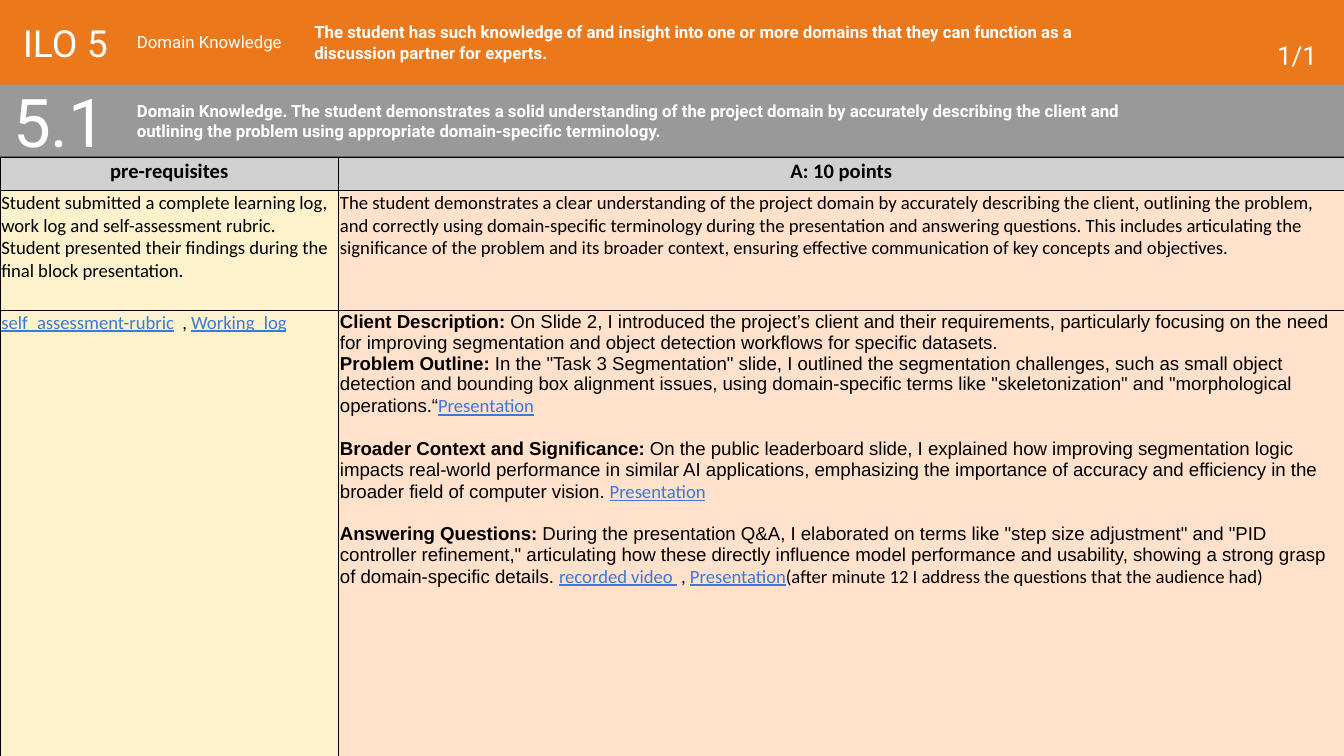
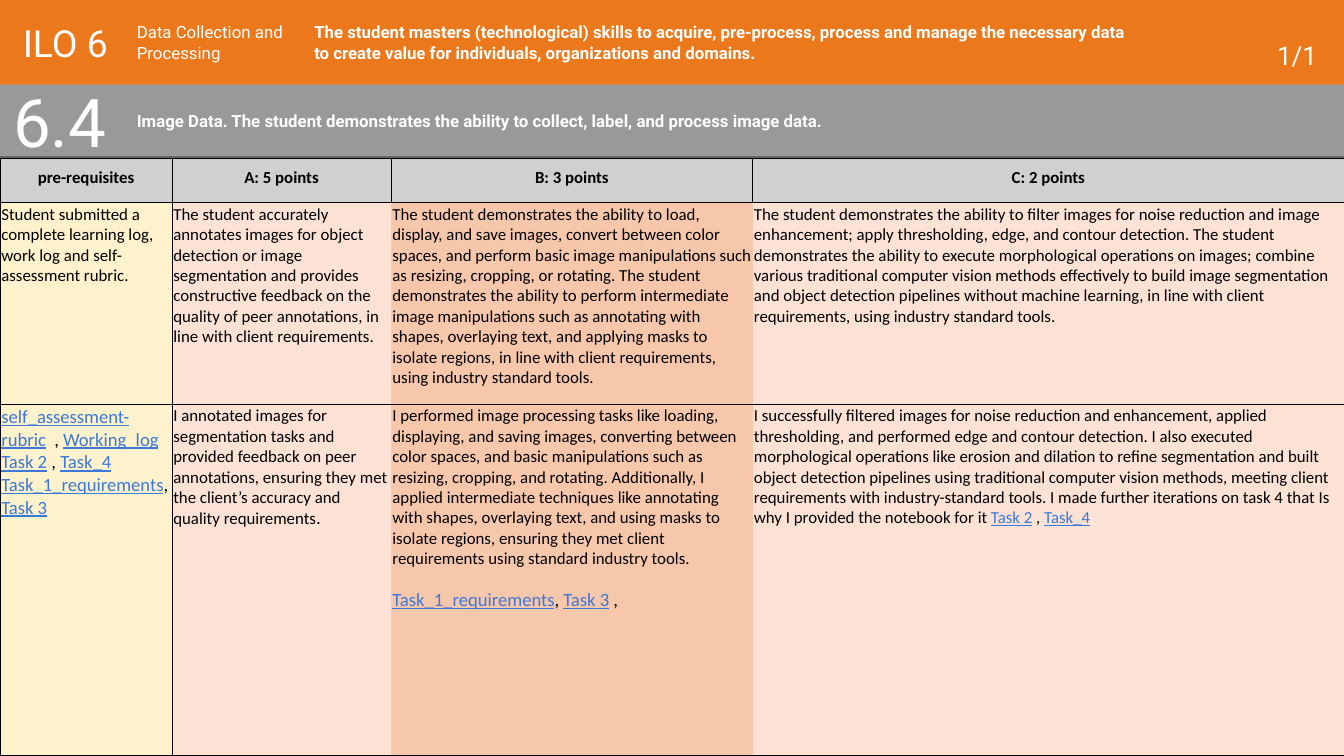
from pptx import Presentation
from pptx.dml.color import RGBColor
from pptx.enum import shapes, text
from pptx.oxml import ns
from pptx.util import Inches, Pt
from lxml import etree

COLORS = {
    "page": "666666", "orange": "EC781C", "gray": "999999", "white": "FFFFFF",
    "black": "000000", "link": "3C78D8", "head": "D0D0D0", "cream": "FEF2CD",
    "peach": "FFE1CC", "rose": "FBE2D5", "salmon": "F7C7AC",
}
STYLES = {
    "plain": dict(name="Calibri", color="black", bold=False, underline=False),
    "head": dict(name="Calibri", color="black", bold=True, underline=False),
    "link": dict(name="Calibri", color="link", bold=False, underline=True),
    "arial": dict(name="Arial", color="black", bold=False, underline=False),
    "strong": dict(name="Arial", color="black", bold=True, underline=False),
    "white": dict(name="Roboto", color="white", bold=False),
    "white_bold": dict(name="Roboto", color="white", bold=True),
}
BANDS = [("gray", 0.62, 0.54), ("orange", 0, 0.63)]
HEADER = {
    "ilo": ((0.07, 0, 0.85, 0.63), 20, "white", "MIDDLE", "LEFT"),
    "page": ((7.73, 0, 2.17, 0.63), 14, "white", "BOTTOM", "RIGHT"),
    "outcome": ((2.24, 0, 6.27, 0.63), 9, "white_bold", "MIDDLE", "LEFT"),
    "number": ((0, 0.63, 0.99, 0.54), 36, "white", "MIDDLE", "LEFT"),
    "criterion": ((0.92, 0.63, 8, 0.54), 9, "white_bold", "MIDDLE", "LEFT"),
    "domain": ((0.92, 0, 1.5, 0.63), 9, "white", "MIDDLE", "LEFT"),
}


def link(label):
    return label, "link"


def strong(label):
    return label, "strong"


def arial(label):
    return label, "arial"


def para(*runs, size=10, gap=0):
    return dict(runs=runs, size=size, gap=gap)


LOGS = para(link("self_assessment-rubric"), "  , ", link("Working_log"))

SLIDES = [
    {
        "header": {
            "ilo": "ILO 5",
            "page": "1/1",
            "outcome": "The student has such knowledge of and insight into one or more domains "
                       "that they can function as a discussion partner for experts.",
            "number": "5.1",
            "criterion": "Domain Knowledge. The student demonstrates a solid understanding of the "
                         "project domain by accurately describing the client and outlining the "
                         "problem using appropriate domain-specific terminology.",
            "domain": "Domain Knowledge",
        },
        "top": 1.17, "cols": [2.52, 7.48], "rows": [0.22, 0.89, 3.36],
        "fills": ["cream", "peach"], "head_size": 11,
        "heads": ["pre-requisites", "A: 10 points"],
        "body": [
            [
                [para("Student submitted a complete learning log, work log and self-assessment "
                      "rubric. Student presented their findings during the final block "
                      "presentation.")],
                [para("The student demonstrates a clear understanding of the project domain by "
                      "accurately describing the client, outlining the problem, and correctly "
                      "using domain-specific terminology during the presentation and answering "
                      "questions. This includes articulating the significance of the problem and "
                      "its broader context, ensuring effective communication of key concepts and "
                      "objectives.")],
            ],
            [
                [LOGS],
                [
                    para(strong("Client Description:"),
                         arial(" On Slide 2, I introduced the project’s client and their "
                               "requirements, particularly focusing on the need for improving "
                               "segmentation and object detection workflows for specific "
                               "datasets.")),
                    para(strong("Problem Outline:"),
                         arial(' In the "Task 3 Segmentation" slide, I outlined the segmentation '
                               "challenges, such as small object detection and bounding box "
                               "alignment issues, using domain-specific terms like "
                               '"skeletonization" and "morphological operations.“'),
                         link("Presentation")),
                    para(strong("Broader Context and Significance:"),
                         arial(" On the public leaderboard slide, I explained how improving "
                               "segmentation logic impacts real-world performance in similar AI "
                               "applications, emphasizing the importance of accuracy and "
                               "efficiency in the broader field of computer vision. "),
                         link("Presentation"), gap=11.5),
                    para(strong("Answering Questions:"),
                         arial(" During the presentation Q&A, I elaborated on terms like "
                               '"step size adjustment" and "PID controller refinement," '
                               "articulating how these directly influence model performance and "
                               "usability, showing a strong grasp of domain-specific details. "),
                         link("recorded video "), " , ", link("Presentation"),
                         "(after minute 12 I address the questions that the audience had)",
                         gap=11),
                ],
            ],
        ],
    },
    {
        "header": {
            "ilo": "ILO 6",
            "page": "1/1",
            "outcome": "The student masters (technological) skills to acquire, pre-process, "
                       "process and manage the necessary data to create value for individuals, "
                       "organizations and domains.",
            "number": "6.4",
            "criterion": "Image Data. The student demonstrates the ability to collect, label, and "
                         "process image data.",
            "domain": "Data Collection and Processing",
        },
        "top": 1.18, "cols": [1.28, 1.63, 2.69, 4.4], "rows": [0.33, 1.5, 2.61],
        "fills": ["cream", "rose", "salmon", "rose"], "head_size": 9,
        "heads": ["pre-requisites", "A: 5 points", "B: 3 points", "C: 2 points"],
        "body": [
            [
                [para("Student submitted a complete learning log, work log and self-assessment "
                      "rubric.", size=9)],
                [para("The student accurately annotates images for object detection or image "
                      "segmentation and provides constructive feedback on the quality of peer "
                      "annotations, in line with client requirements.", size=9)],
                [para("The student demonstrates the ability to load, display, and save images, "
                      "convert between color spaces, and perform basic image manipulations such "
                      "as resizing, cropping, or rotating. The student demonstrates the ability "
                      "to perform intermediate image manipulations such as annotating with "
                      "shapes, overlaying text, and applying masks to isolate regions, in line "
                      "with client requirements, using industry standard tools.", size=9)],
                [para("The student demonstrates the ability to filter images for noise reduction "
                      "and image enhancement; apply thresholding, edge, and contour detection. "
                      "The student demonstrates the ability to execute morphological operations "
                      "on images; combine various traditional computer vision methods "
                      "effectively to build image segmentation and object detection pipelines "
                      "without machine learning, in line with client requirements, using "
                      "industry standard tools.", size=9)],
            ],
            [
                [
                    LOGS,
                    para(link("Task 2"), " , ", link("Task_4")),
                    para(link("Task_1_requirements"), ", ", link("Task 3")),
                ],
                [para("I annotated images for segmentation tasks and provided feedback on peer "
                      "annotations, ensuring they met the client’s accuracy and quality "
                      "requirements", (".", "arial", 10), size=9)],
                [
                    para("I performed image processing tasks like loading, displaying, and saving "
                         "images, converting between color spaces, and basic manipulations such "
                         "as resizing, cropping, and rotating. Additionally, I applied "
                         "intermediate techniques like annotating with shapes, overlaying text, "
                         "and using masks to isolate regions, ensuring they met client "
                         "requirements using standard industry tools.", size=9),
                    para(link("Task_1_requirements"), ", ", link("Task 3"), " ,", gap=10.5),
                ],
                [para("I successfully filtered images for noise reduction and enhancement, "
                      "applied thresholding, and performed edge and contour detection. I also "
                      "executed morphological operations like erosion and dilation to refine "
                      "segmentation and built object detection pipelines using traditional "
                      "computer vision methods, meeting client requirements with "
                      "industry-standard tools. I made further iterations on task 4 that Is why "
                      "I provided the notebook for it ",
                      link("Task 2"), " , ", link("Task_4"), size=9)],
            ],
        ],
    },
]


def rgb(name):
    return RGBColor.from_string(COLORS[name])


def add_run(p, label, style, size):
    r = p.add_run()
    r.text = label
    r.font.size = Pt(size)
    for key, value in STYLES[style].items():
        if key == "color":
            r.font.color.rgb = rgb(value)
        else:
            setattr(r.font, key, value)


def add_bands(s, layout):
    layout.background.fill.solid()
    layout.background.fill.fore_color.rgb = rgb("page")
    tree = layout.shapes._spTree
    for i, (color, top, height) in enumerate(BANDS):
        sp = s.shapes.add_shape(shapes.MSO_SHAPE.RECTANGLE, 0, Inches(top),
                                Inches(10), Inches(height))
        sp.shadow.inherit = False
        sp.fill.solid()
        sp.fill.fore_color.rgb = rgb(color)
        sp.line.fill.background()
        sp._element.nvSpPr.cNvPr.set("id", str(100 + i))
        tree.insert(2 + i, sp._element)


def add_header(s, header):
    for key, (box, size, style, anchor, align) in HEADER.items():
        box = [Inches(v) for v in box]
        if key == "ilo":
            sp = s.shapes.title
            sp.left, sp.top, sp.width, sp.height = box
        else:
            sp = s.shapes.add_textbox(*box)
        tf = sp.text_frame
        tf.word_wrap = True
        tf.auto_size = text.MSO_AUTO_SIZE.NONE
        tf.vertical_anchor = text.MSO_ANCHOR[anchor]
        for side in ("left", "right", "top", "bottom"):
            setattr(tf, f"margin_{side}", Inches(0.1))
        p = tf.paragraphs[0]
        p.alignment = text.PP_ALIGN[align]
        add_run(p, header[key], style, size)


def set_borders(cell, sides):
    tcPr = cell._tc.get_or_add_tcPr()
    for side in "LRTB":
        ln = etree.SubElement(tcPr, ns.qn(f"a:ln{side}"), w=str(Pt(0.5)))
        if side in sides:
            fill = etree.SubElement(ln, ns.qn("a:solidFill"))
            etree.SubElement(fill, ns.qn("a:srgbClr"), val=COLORS["black"])
        else:
            etree.SubElement(ln, ns.qn("a:noFill"))


def fill_cell(cell, paras, color, sides, head):
    set_borders(cell, sides)
    cell.fill.solid()
    cell.fill.fore_color.rgb = rgb(color)
    cell.vertical_anchor = text.MSO_ANCHOR.MIDDLE if head else text.MSO_ANCHOR.TOP
    for side, inset in dict(left=0.01, right=0.01, top=0.01, bottom=0.05).items():
        setattr(cell, f"margin_{side}", Inches(inset))
    tf = cell.text_frame
    for i, item in enumerate(paras):
        p = tf.add_paragraph() if i else tf.paragraphs[0]
        p.alignment = text.PP_ALIGN.CENTER if head else text.PP_ALIGN.LEFT
        if item["gap"]:
            p.space_before = Pt(item["gap"])
        for run in item["runs"]:
            label, style, *size = (run, "plain") if isinstance(run, str) else run
            add_run(p, label, style, size[0] if size else item["size"])


def add_rubric(s, data):
    cols, rows = data["cols"], data["rows"]
    table = s.shapes.add_table(len(rows), len(cols), 0, Inches(data["top"]),
                               Inches(sum(cols)), Inches(sum(rows))).table
    table.first_row = table.horz_banding = False
    for column, width in zip(table.columns, cols):
        column.width = Inches(width)
    for row, height in zip(table.rows, rows):
        row.height = Inches(height)
    heads = [[para((label, "head"), size=data["head_size"])] for label in data["heads"]]
    for i, cells in enumerate([heads] + data["body"]):
        for j, paras in enumerate(cells):
            head = i == 0
            sides = "LRTB" if head or j == 0 else "LTB" if j == 1 else "TB"
            fill_cell(table.cell(i, j), paras, "head" if head else data["fills"][j], sides, head)


def main():
    prs = Presentation()
    prs.slide_width = Inches(10)
    prs.slide_height = prs.slide_width * 9 // 16
    layout = prs.slide_layouts[5]
    for i, data in enumerate(SLIDES):
        s = prs.slides.add_slide(layout)
        if i == 0:
            add_bands(s, layout)
        add_header(s, data["header"])
        add_rubric(s, data)
    prs.save("out.pptx")


if __name__ == "__main__":
    main()
